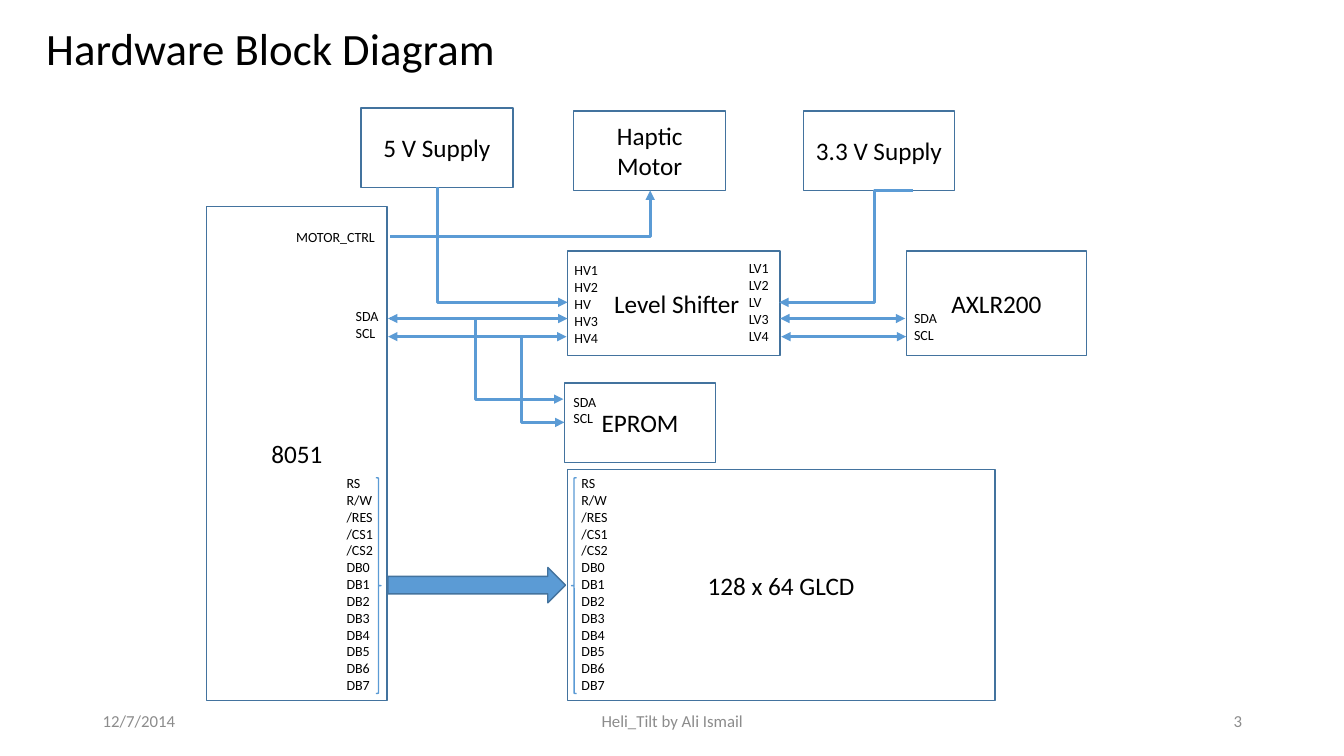
from dataclasses import dataclass
from typing import Optional

from lxml import etree
from pptx import Presentation
from pptx import util as u
from pptx.dml.color import RGBColor
from pptx.enum import shapes, text
from pptx.oxml import ns

# Lengths are columns and rows of a square grid.
CELL = u.Inches(0.1)
COLUMNS, ROWS = 133.33, 75

BLACK = RGBColor(0x00, 0x00, 0x00)
GREY = RGBColor(0x8C, 0x8C, 0x8C)
BLUE = RGBColor(0x5B, 0x9B, 0xD5)
DARK_BLUE = RGBColor(0x43, 0x73, 0x9E)
FONT = "Calibri"

LEFT, CENTER, RIGHT = text.PP_ALIGN.LEFT, text.PP_ALIGN.CENTER, text.PP_ALIGN.RIGHT
Shape = shapes.MSO_SHAPE

SDA_ROW, SCL_ROW, POWER_ROW = 31.6, 33.4, 30
BUS_PINS = ["SDA", "SCL"]
DISPLAY_PINS = ["RS", "R/W", "/RES", "/CS1", "/CS2"] + [f"DB{bit}" for bit in range(8)]


@dataclass
class Block:
    left: float
    top: float
    width: float
    height: float
    name: str = ""
    kind: Shape = Shape.RECTANGLE
    line: RGBColor = DARK_BLUE
    fill: Optional[RGBColor] = None


@dataclass
class Label:
    left: float
    top: float
    width: float
    height: float
    lines: list[str]
    size: int = 10
    color: RGBColor = BLACK
    align: text.PP_ALIGN = LEFT
    anchor: text.MSO_ANCHOR = text.MSO_ANCHOR.TOP


@dataclass
class Wire:
    """A line that leaves its start sideways; bend is the share of its width
    at which it turns, and 1 means a single corner."""
    start: tuple[float, float]
    end: tuple[float, float]
    bend: Optional[float] = None
    head: bool = False
    tail: bool = True


BLOCKS = [
    Block(20.5, 20.5, 17.9, 49, "8051"),
    Block(35.8, 10.7, 15.1, 7.9, "5 V Supply"),
    Block(56.9, 11, 15.1, 7.9, "Haptic Motor"),
    Block(79.7, 11, 15, 7.9, "3.3 V Supply"),
    Block(56.3, 24.9, 21.1, 10.4, " Level Shifter"),
    Block(89.9, 24.9, 17.9, 10.4, "AXLR200"),
    Block(56, 38, 15, 7.9, "EPROM"),
    Block(56.3, 46.6, 42.4, 22.9, "128 x 64 GLCD"),
    Block(38.5, 56.3, 17.6, 3.5, kind=Shape.RIGHT_ARROW, fill=BLUE),
    Block(37.3, 47.4, 0.5, 21.4, kind=Shape.RIGHT_BRACE, line=BLUE),
    Block(56.7, 47.4, 0.5, 21.4, kind=Shape.LEFT_BRACE, line=BLUE),
]

FOOTER = dict(size=12, color=GREY, anchor=text.MSO_ANCHOR.MIDDLE)
LABELS = [
    Label(3.6, 1.6, 74.4, 6.4, ["Hardware Block Diagram"], size=32),
    Label(28.4, 22.2, 10.3, 2.7, ["MOTOR_CTRL"]),
    Label(34.3, 30, 4.7, 4.4, BUS_PINS),
    Label(89.7, 30.2, 4.7, 4.4, BUS_PINS),
    Label(55.9, 38.5, 4.7, 4.4, BUS_PINS),
    Label(56, 25.5, 4.7, 9.4, ["HV1", "HV2", "HV", "HV3", "HV4"]),
    Label(73.3, 25.3, 4.7, 9.4, ["LV1", "LV2", "LV", "LV3", "LV4"]),
    Label(33.4, 46.6, 4.7, 22.9, DISPLAY_PINS),
    Label(56.7, 46.6, 4.7, 22.9, DISPLAY_PINS),
    Label(9.2, 69.5, 30, 4, ["12/7/2014"], **FOOTER),
    Label(44.2, 69.5, 45, 4, ["Heli_Tilt by Ali Ismail"], align=CENTER, **FOOTER),
    Label(94.2, 69.5, 30, 4, ["3"], align=RIGHT, **FOOTER),
]

WIRES = [
    Wire((56.3, POWER_ROW), (43.4, 18.6), bend=1, head=True, tail=False),
    Wire((90.6, 18.9), (77.3, POWER_ROW), bend=0.29),
    Wire((38.7, 23.5), (64.5, 18.9), bend=1),
    Wire((38.7, SDA_ROW), (56.3, SDA_ROW)),
    Wire((38.5, SCL_ROW), (56.2, SCL_ROW), head=True),
    Wire((77.4, SDA_ROW), (89.8, SDA_ROW), head=True),
    Wire((77.5, SCL_ROW), (89.9, SCL_ROW), head=True),
    Wire((38.5, SDA_ROW), (55.9, 39.6), bend=0.5, head=True),
    Wire((47.5, SCL_ROW), (56, 41.9), bend=0.5),
]


def cells(*counts: float) -> list[u.Emu]:
    return [u.Emu(round(count * CELL)) for count in counts]


def write(frame, lines: list[str], size: int, color: RGBColor, align) -> None:
    frame.word_wrap = True
    frame.text = "\n".join(lines)
    for paragraph in frame.paragraphs:
        paragraph.alignment = align
        paragraph.font.size = u.Pt(size)
        paragraph.font.name = FONT
        paragraph.font.color.rgb = color


def draw_block(slide, block: Block) -> None:
    shape = slide.shapes.add_shape(
        block.kind, *cells(block.left, block.top, block.width, block.height))
    shape.shadow.inherit = False
    shape.line.color.rgb = block.line
    shape.line.width = u.Pt(1)
    if block.fill is None:
        shape.fill.background()
    else:
        shape.fill.solid()
        shape.fill.fore_color.rgb = block.fill
    if block.name:
        shape.text_frame.vertical_anchor = text.MSO_ANCHOR.MIDDLE
        write(shape.text_frame, [block.name], 18, BLACK, CENTER)


def draw_label(slide, label: Label) -> None:
    frame = slide.shapes.add_textbox(
        *cells(label.left, label.top, label.width, label.height)).text_frame
    frame.vertical_anchor = label.anchor
    if label.align == LEFT:
        frame.margin_right = 0
    write(frame, label.lines, label.size, label.color, label.align)


def draw_wire(slide, wire: Wire) -> None:
    kind = shapes.MSO_CONNECTOR.STRAIGHT if wire.bend is None else shapes.MSO_CONNECTOR.ELBOW
    connector = slide.shapes.add_connector(kind, *cells(*wire.start, *wire.end))
    connector.line.color.rgb = BLUE
    connector.line.width = u.Pt(2.25)
    properties = connector.element.spPr
    geometry = properties.find(ns.qn("a:prstGeom"))
    if wire.bend == 1:
        geometry.set("prst", "bentConnector2")
    elif wire.bend is not None:
        guides = geometry.find(ns.qn("a:avLst"))
        etree.SubElement(guides, ns.qn("a:gd"), name="adj1",
                         fmla=f"val {round(wire.bend * 100000)}")
    outline = properties.find(ns.qn("a:ln"))
    for end, shown in (("a:headEnd", wire.head), ("a:tailEnd", wire.tail)):
        if shown:
            etree.SubElement(outline, ns.qn(end), type="triangle")
    etree.SubElement(properties, ns.qn("a:effectLst"))


def main() -> None:
    deck = Presentation()
    deck.slide_width, deck.slide_height = cells(COLUMNS, ROWS)
    slide = deck.slides.add_slide(deck.slide_layouts[6])
    for block in BLOCKS:
        draw_block(slide, block)
    for label in LABELS:
        draw_label(slide, label)
    for wire in WIRES:
        draw_wire(slide, wire)
    deck.save("out.pptx")


if __name__ == "__main__":
    main()
